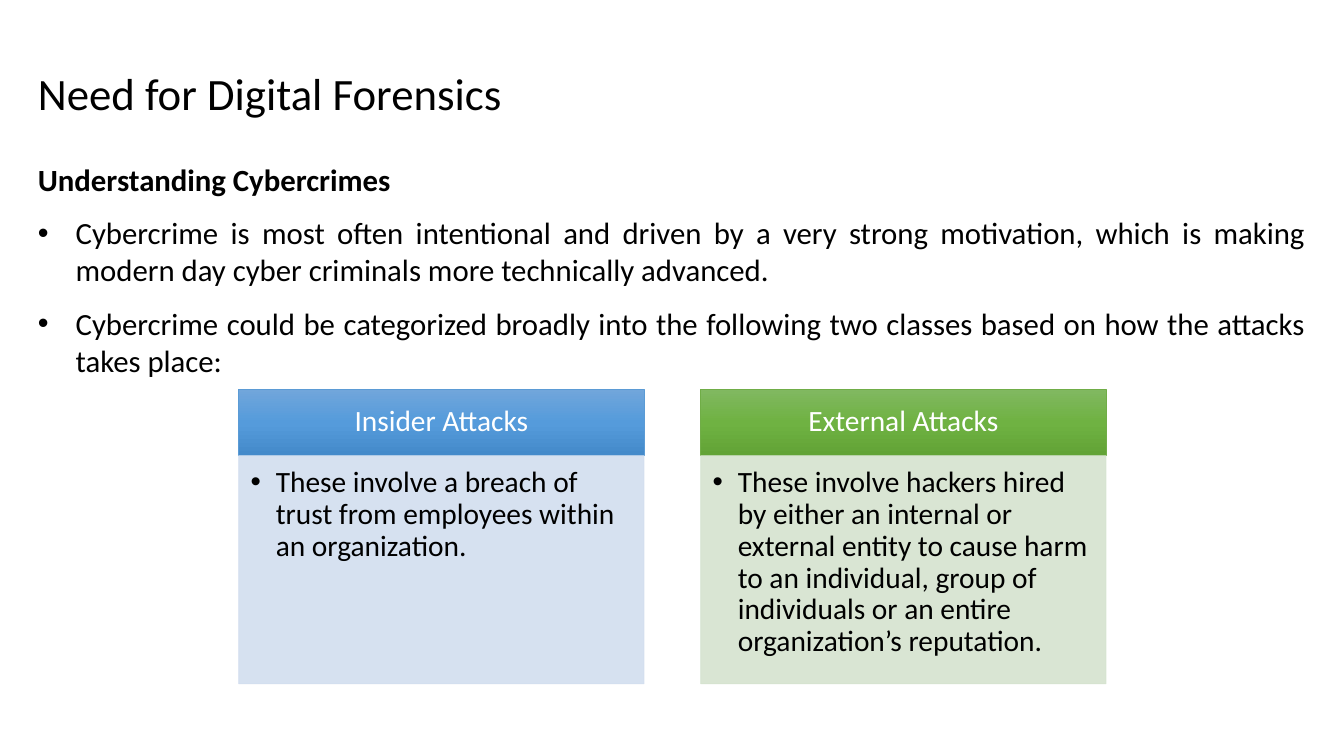
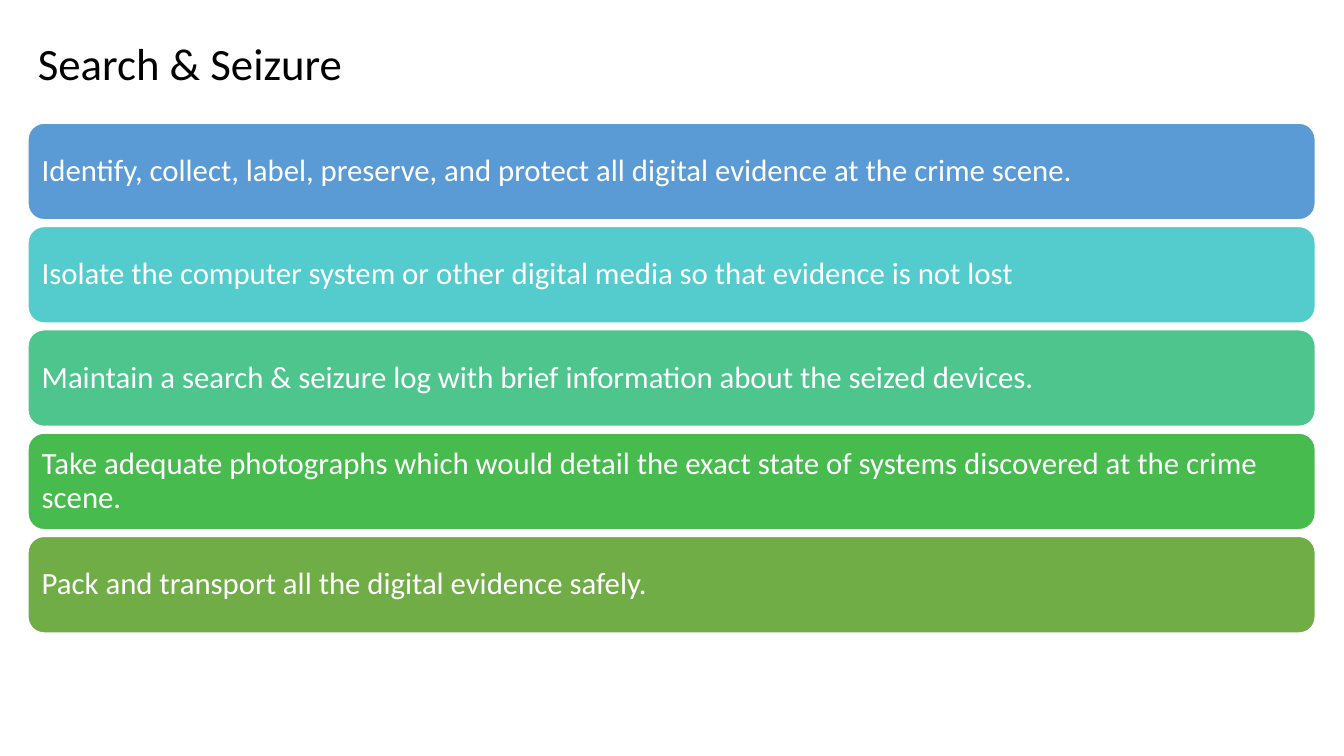
from copy import deepcopy

from lxml.etree import SubElement
from pptx import Presentation
from pptx.dml.color import RGBColor
from pptx.enum.shapes import MSO_SHAPE as Preset
from pptx.enum.text import MSO_ANCHOR as Anchor, PP_ALIGN as Align
from pptx.oxml.ns import qn
from pptx.util import Pt

rgb = RGBColor.from_string
FONT = "Calibri"
BLACK, WHITE = "000000", "FFFFFF"
LEFT, WIDTH = 20, 919.5
PLAIN_MARGINS = (7.2, 3.6, 7.2, 3.6)


def add_box(slide, preset, left, top, width, height, margins, anchor):
    position = Pt(left), Pt(top), Pt(width), Pt(height)
    if preset is None:
        shape = slide.shapes.add_textbox(*position)
    else:
        shape = slide.shapes.add_shape(preset, *position)
        shape.shadow.inherit = False
    frame = shape.text_frame
    frame.word_wrap = True
    frame.vertical_anchor = anchor
    for side, margin in zip(("left", "top", "right", "bottom"), margins):
        setattr(frame, f"margin_{side}", Pt(margin))
    return shape


def write(paragraph, text, size, color, bullet_indent=0, bold=False, **layout):
    for name, value in {"alignment": Align.LEFT, **layout}.items():
        setattr(paragraph, name, value)
    if bullet_indent:
        properties = paragraph._p.get_or_add_pPr()
        properties.set("marL", str(Pt(bullet_indent)))
        properties.set("indent", str(-Pt(bullet_indent)))
        SubElement(properties, qn("a:buFont"), typeface="Arial")
        SubElement(properties, qn("a:buChar"), char="•")
    run = paragraph.add_run()
    run.text = text
    for name, value in {"name": FONT, "size": Pt(size), "bold": bold}.items():
        setattr(run.font, name, value)
    run.font.color.rgb = rgb(color)


presentation = Presentation()
presentation.slide_width, presentation.slide_height = Pt(960), Pt(540)

slides = []
for title, top in (("Need for Digital Forensics", 21), ("Search & Seizure", 0)):
    slide = presentation.slides.add_slide(presentation.slide_layouts[6])
    title_box = add_box(slide, None, LEFT, top, WIDTH, 90, PLAIN_MARGINS, Anchor.MIDDLE)
    write(title_box.text_frame.paragraphs[0], title, 32, BLACK)
    slides.append(slide)
need_slide, seizure_slide = slides

body = add_box(need_slide, None, LEFT, 111, WIDTH, 385, PLAIN_MARGINS, Anchor.TOP)
body_style = {"alignment": Align.JUSTIFY, "space_after": Pt(12)}
write(body.text_frame.paragraphs[0], "Understanding Cybercrimes", 22, BLACK, bold=True, **body_style)
for text in (
    "Cybercrime is most often intentional and driven by a very strong motivation, "
    "which is making modern day cyber criminals more technically advanced.",
    "Cybercrime could be categorized broadly into the following two classes "
    "based on how the attacks takes place:",
):
    write(body.text_frame.add_paragraph(), text, 22, BLACK, bullet_indent=27, **body_style)

attacks = [
    ("Insider Attacks",
     "These involve a breach of trust from employees within an organization.",
     ("71A6DB", "559BDB", "448ACA"), "5B9BD5", "D2DEEF"),
    ("External Attacks",
     "These involve hackers hired by either an internal or external entity to cause harm "
     "to an individual, group of individuals or an entire organization’s reputation.",
     ("81B861", "6FB242", "62A336"), "70AD47", "D5E3CF"),
]
CARD_LEFT, CARD_TOP, CARD_WIDTH, CARD_PITCH = 170.5, 278, 289.5, 330
HEADER_HEIGHT, DETAIL_HEIGHT = 47.5, 163
for index, (heading, detail, gradient, outline, tint) in enumerate(attacks):
    left = CARD_LEFT + index * CARD_PITCH
    header = add_box(need_slide, Preset.RECTANGLE, left, CARD_TOP, CARD_WIDTH, HEADER_HEIGHT,
                     (11.5, 6.5, 11.5, 6.5), Anchor.MIDDLE)
    header.fill.gradient()
    header.fill.gradient_angle = 270
    stop_list = header._element.spPr.find(".//" + qn("a:gsLst"))
    stop_list.insert(1, deepcopy(stop_list[0]))
    for stop, position, color in zip(header.fill.gradient_stops, (0, 0.5, 1), gradient):
        stop.position = position
        stop.color.rgb = rgb(color)
    header.line.color.rgb = rgb(outline)
    write(header.text_frame.paragraphs[0], heading, 21, WHITE,
          alignment=Align.CENTER, line_spacing=0.9)

    panel = add_box(need_slide, Preset.RECTANGLE, left, CARD_TOP + HEADER_HEIGHT, CARD_WIDTH,
                    DETAIL_HEIGHT, (8.5, 8.5, 11.5, 13), Anchor.TOP)
    panel.fill.solid()
    panel.fill.fore_color.rgb = rgb(tint)
    panel.line.color.rgb = rgb(tint)
    for color_element in panel._element.spPr.iter(qn("a:srgbClr")):
        SubElement(color_element, qn("a:alpha"), val="90000")
    write(panel.text_frame.paragraphs[0], detail, 21, BLACK, bullet_indent=18, line_spacing=0.9)
    for shape in (header, panel):
        shape.line.width = Pt(0.5)

steps = [
    ("Identify, collect, label, preserve, and protect all digital evidence at the crime scene.", "5B9BD5"),
    ("Isolate the computer system or other digital media so that evidence is not lost", "54CCCD"),
    ("Maintain a search & seizure log with brief information about the seized devices.", "4DC58D"),
    ("Take adequate photographs which would detail the exact state of systems "
     "discovered at the crime scene.", "48BB4F"),
    ("Pack and transport all the digital evidence safely.", "70AD47"),
]
STEP_TOP, STEP_HEIGHT, STEP_GAP = 88, 69, 4.8
for index, (text, color) in enumerate(steps):
    top = STEP_TOP + index * (STEP_HEIGHT + STEP_GAP)
    step = add_box(seizure_slide, Preset.ROUNDED_RECTANGLE, LEFT, top, WIDTH, STEP_HEIGHT,
                   (6.5,) * 4, Anchor.MIDDLE)
    step.fill.solid()
    step.fill.fore_color.rgb = rgb(color)
    step.line.color.rgb = rgb(WHITE)
    step.line.width = Pt(1)
    write(step.text_frame.paragraphs[0], text, 22, WHITE, line_spacing=0.9)

presentation.save("out.pptx")
